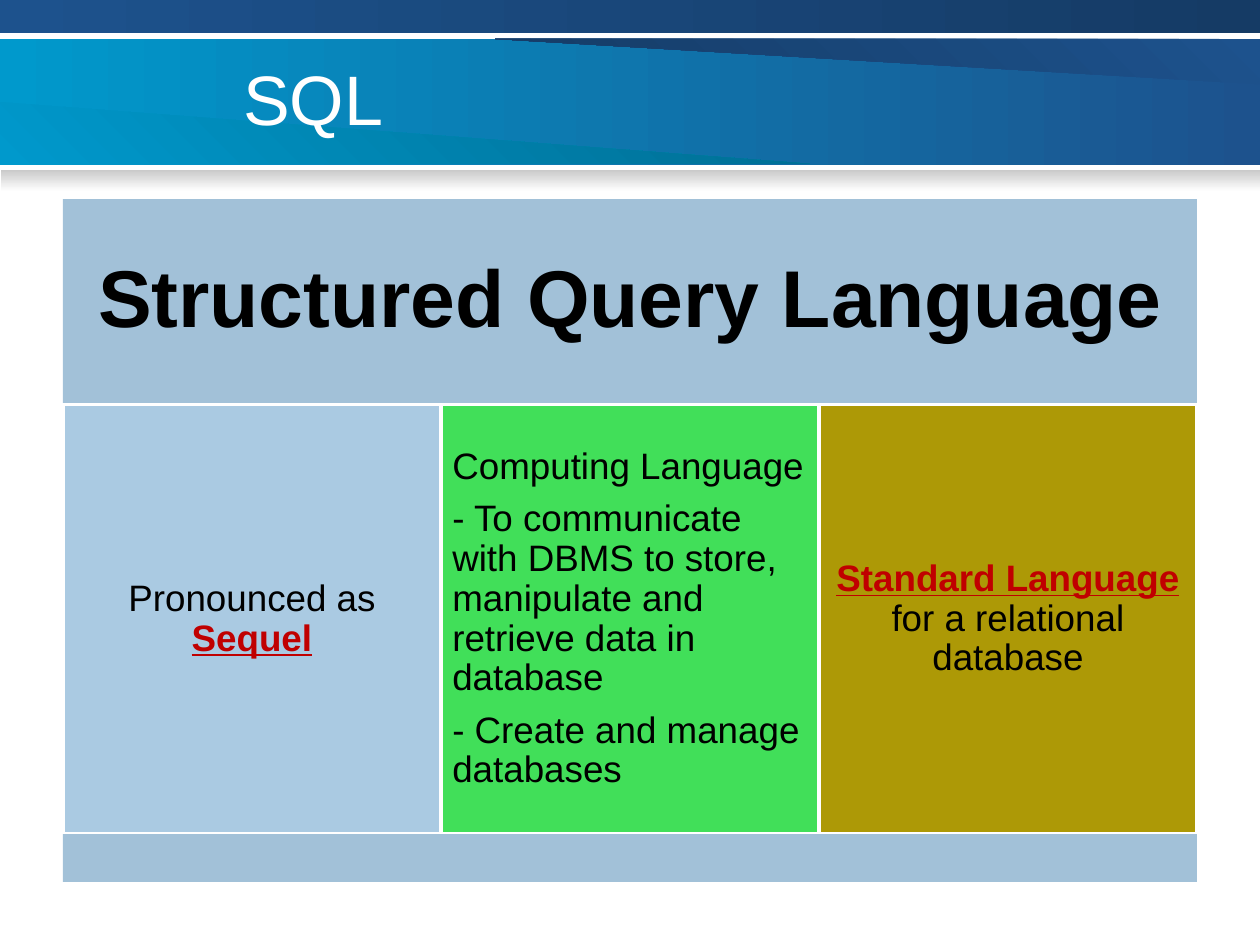
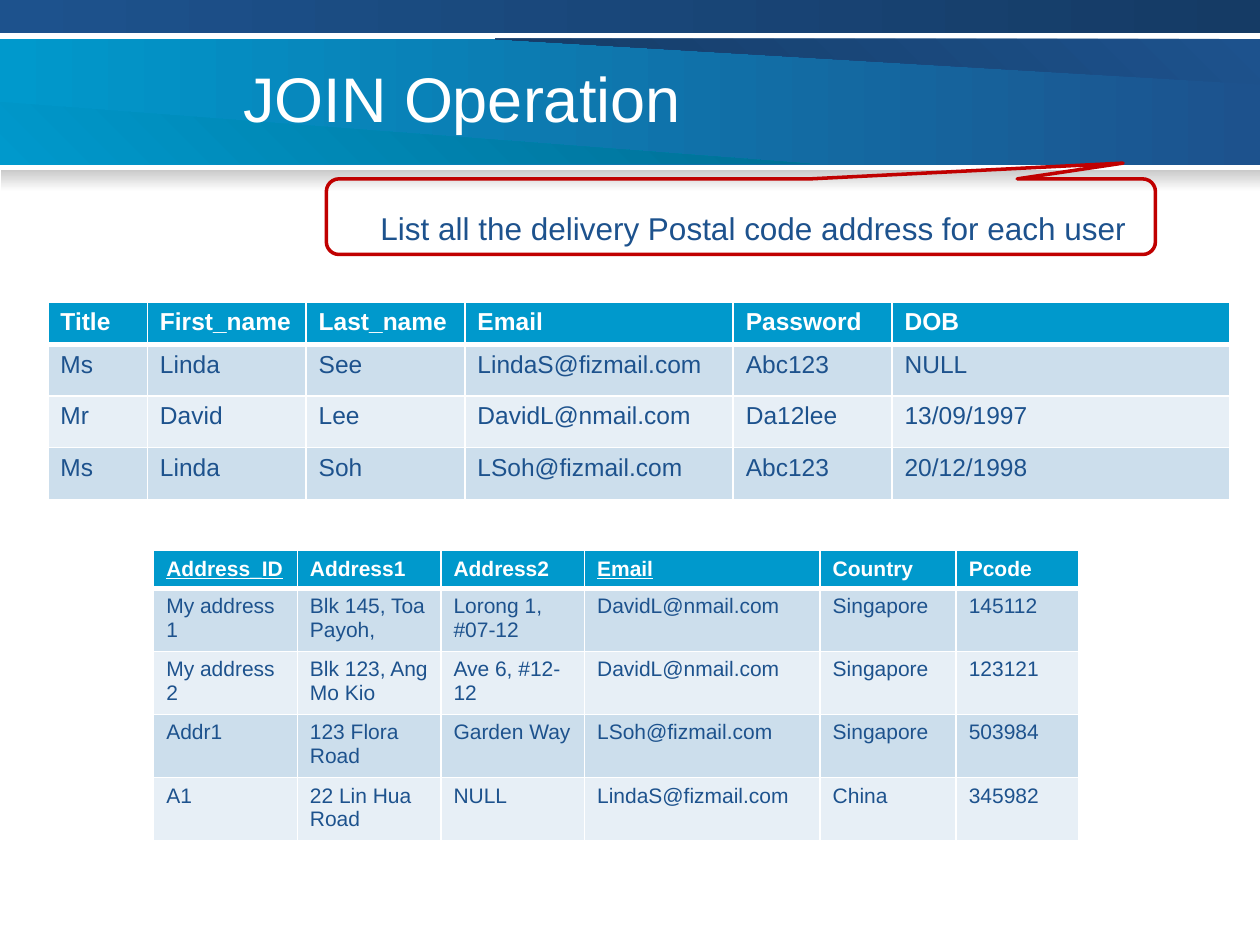
from lxml import etree
from pptx import Presentation
from pptx.dml.color import RGBColor
from pptx.enum.shapes import MSO_SHAPE
from pptx.enum.text import MSO_ANCHOR, MSO_AUTO_SIZE, PP_ALIGN
from pptx.oxml.ns import qn
from pptx.util import Inches, Pt

RECT = MSO_SHAPE.RECTANGLE
CALLOUT = MSO_SHAPE.ROUNDED_RECTANGULAR_CALLOUT
MIDDLE = MSO_ANCHOR.MIDDLE
GROW = MSO_AUTO_SIZE.SHAPE_TO_FIT_TEXT
LEFT, CENTER = PP_ALIGN.LEFT, PP_ALIGN.CENTER
FONT = "Arial"
TITLE_ONLY = 5

COLORS = {
    "white": "FFFFFF", "black": "000000", "red": "C00000",
    "cyan": "0099CC", "teal": "006D92", "blue": "1D528D", "navy": "153B65",
    "grey": "CACACA", "banner": "A2C1D8", "sky": "AACAE2",
    "green": "41DF59", "olive": "AD9906",
    "row_dark": "CCDEEC", "row_light": "E7EFF6",
}
KEY = {"color": "red", "bold": True, "underline": True}

USERS = [
    ["Title", "First_name", "Last_name", "Email", "Password", "DOB"],
    ["Ms", "Linda", "See", "LindaS@fizmail.com", "Abc123", "NULL"],
    ["Mr", "David", "Lee", "DavidL@nmail.com", "Da12lee", "13/09/1997"],
    ["Ms", "Linda", "Soh", "LSoh@fizmail.com", "Abc123", "20/12/1998"],
]
ADDRESSES = [
    ["Address_ID", "Address1", "Address2", "Email", "Country", "Pcode"],
    ["My address 1", "Blk 145, Toa Payoh,", "Lorong 1, #07-12", "DavidL@nmail.com", "Singapore", "145112"],
    ["My address 2", "Blk 123, Ang Mo Kio", "Ave 6, #12-12", "DavidL@nmail.com", "Singapore", "123121"],
    ["Addr1", "123 Flora Road", "Garden Way", "LSoh@fizmail.com", "Singapore", "503984"],
    ["A1", "22 Lin Hua Road", "NULL", "LindaS@fizmail.com", "China", "345982"],
]


def rgb(name):
    return RGBColor.from_string(COLORS[name])


def add_run(p, text, size, color="black", **styles):
    r = p.add_run()
    r.text = text
    for name, value in {"name": FONT, "size": Pt(size), **styles}.items():
        setattr(r.font, name, value)
    r.font.color.rgb = rgb(color)


def add_box(s, kind, box, fill=None, line=None):
    sp = s.shapes.add_shape(kind, *map(Inches, box))
    sp.shadow.inherit = False
    if fill:
        sp.fill.solid()
        sp.fill.fore_color.rgb = rgb(fill)
    else:
        sp.fill.background()
    if line:
        sp.line.color.rgb = rgb(line)
        sp.line.width = Pt(2)
    else:
        sp.line.fill.background()
    return sp


def add_wedge(s, points):
    corners = [(Inches(x), Inches(y)) for x, y in points]
    builder = s.shapes.build_freeform(*corners[0])
    builder.add_line_segments(corners[1:])
    sp = builder.convert_to_shape()
    sp.shadow.inherit = False
    sp.line.fill.background()
    return sp


def set_gradient(sp, start, end, angle):
    sp.fill.gradient()
    sp.fill.gradient_angle = angle
    for stop, color, position in zip(sp.fill.gradient_stops, (start, end), (0, 1)):
        stop.color.rgb = rgb(color)
        stop.position = position


def add_header_to_layout(s):
    decorations = [
        (add_box(s, RECT, (0, 0.31, 10, 1)), "cyan", "blue", 0),
        (add_wedge(s, [(3.93, 0.31), (10, 0.67), (10, 0.31)]), "blue", "navy", 225),
        (add_wedge(s, [(0, 0.81), (6.43, 1.3), (0, 1.3)]), "cyan", "teal", 45),
        (add_box(s, RECT, (0, 0, 10, 0.26)), "blue", "navy", 0),
        (add_box(s, RECT, (0.01, 1.35, 9.99, 0.17)), "grey", "white", 270),
    ]
    tree = s.slide_layout.shapes.element
    for i, (sp, start, end, angle) in enumerate(decorations):
        set_gradient(sp, start, end, angle)
        sp.element.nvSpPr.cNvPr.set("id", str(100 + i))
        tree.insert(2 + i, sp.element)


def add_titled_slide(prs, text, size):
    s = prs.slides.add_slide(prs.slide_layouts[TITLE_ONLY])
    title = s.shapes.title
    box = dict(left=1.83, top=0.3, width=7.25, height=0.95)
    for name, value in box.items():
        setattr(title, name, Inches(value))
    title.text_frame.vertical_anchor = MIDDLE
    p = title.text_frame.paragraphs[0]
    p.alignment = LEFT
    add_run(p, text, size, "white")
    return s


def add_panel(s, box, fill, paragraphs, size=21, align=CENTER, inset=0.09, line="white"):
    tf = add_box(s, RECT, box, fill, line).text_frame
    tf.word_wrap = True
    tf.vertical_anchor = MIDDLE
    for side in ("left", "top", "right", "bottom"):
        setattr(tf, f"margin_{side}", Inches(inset))
    for i, runs in enumerate(paragraphs):
        p = tf.add_paragraph() if i else tf.paragraphs[0]
        p.alignment = align
        p.line_spacing = 0.9
        p.space_after = Pt(size * 0.35)
        for text, styles in runs:
            add_run(p, text, size, **styles)


def set_border(cell, side, width):
    ln = etree.SubElement(cell._tc.get_or_add_tcPr(), qn(f"a:ln{side}"), w=str(Pt(width)))
    fill = etree.SubElement(ln, qn("a:solidFill"))
    etree.SubElement(fill, qn("a:srgbClr"), val=COLORS["white"])


def format_cell(cell, text, size, row, underline):
    header = row == 0
    for side in "LRTB" if header else "LRB":
        set_border(cell, side, 3 if header and side == "B" else 1)
    cell.fill.solid()
    cell.fill.fore_color.rgb = rgb("cyan" if header else "row_dark" if row % 2 else "row_light")
    add_run(cell.text_frame.paragraphs[0], text, size, "white" if header else "blue",
            bold=header, underline=header and underline)


def add_data_table(s, left, top, rows, widths, header_height, row_height, size, keys=()):
    height = header_height + row_height * (len(rows) - 1)
    box = map(Inches, (left, top, sum(widths), height))
    table = s.shapes.add_table(len(rows), len(widths), *box).table
    for column, width in zip(table.columns, widths):
        column.width = Inches(width)
    for i, values in enumerate(rows):
        table.rows[i].height = Inches(row_height if i else header_height)
        for j, text in enumerate(values):
            format_cell(table.cell(i, j), text, size, i, text in keys)


def add_callout(s, text):
    sp = add_box(s, CALLOUT, (2.59, 1.42, 6.58, 0.6), line="red")
    for i, value in enumerate((0.461, -0.709, 0.167)):
        sp.adjustments[i] = value
    tf = s.shapes.add_textbox(*map(Inches, (2.92, 1.61, 6.18, 0.4))).text_frame
    tf.word_wrap = False
    tf.auto_size = GROW
    add_run(tf.paragraphs[0], text, 18, "blue")


def build_sql_slide(prs):
    s = add_titled_slide(prs, "SQL", 40)
    add_header_to_layout(s)
    add_panel(s, (0.5, 1.58, 9, 1.62), "banner",
              [[("Structured Query Language", {"bold": True})]], 46, inset=0.19, line=None)
    columns = [
        ("sky", CENTER, [[("Pronounced as ", {}), ("Sequel", KEY)]]),
        ("green", LEFT, [
            [("Computing Language", {})],
            [("- To communicate with DBMS to store, manipulate and retrieve data in database", {})],
            [("- Create and manage databases", {})],
        ]),
        ("olive", CENTER, [[("Standard Language ", KEY), ("for a relational database", {})]]),
    ]
    for i, (fill, align, paragraphs) in enumerate(columns):
        add_panel(s, (0.5 + 3 * i, 3.21, 3, 3.41), fill, paragraphs, align=align)
    add_box(s, RECT, (0.5, 6.62, 9, 0.38), "banner")


def build_join_slide(prs):
    s = add_titled_slide(prs, "JOIN Operation", 36)
    add_callout(s, "List all the delivery Postal code address for each user")
    add_data_table(s, 1.22, 4.37, ADDRESSES, [1.14, 1.14, 1.14, 1.87, 1.08, 0.97],
                   0.28, 0.5, 12, keys=("Address_ID", "Email"))
    add_data_table(s, 0.38, 2.4, USERS, [0.79, 1.26, 1.26, 2.13, 1.26, 2.68],
                   0.32, 0.41, 14)


def main():
    prs = Presentation()
    prs.slide_width, prs.slide_height = Inches(10), Inches(7.5)
    build_sql_slide(prs)
    build_join_slide(prs)
    prs.save("out.pptx")


if __name__ == "__main__":
    main()
